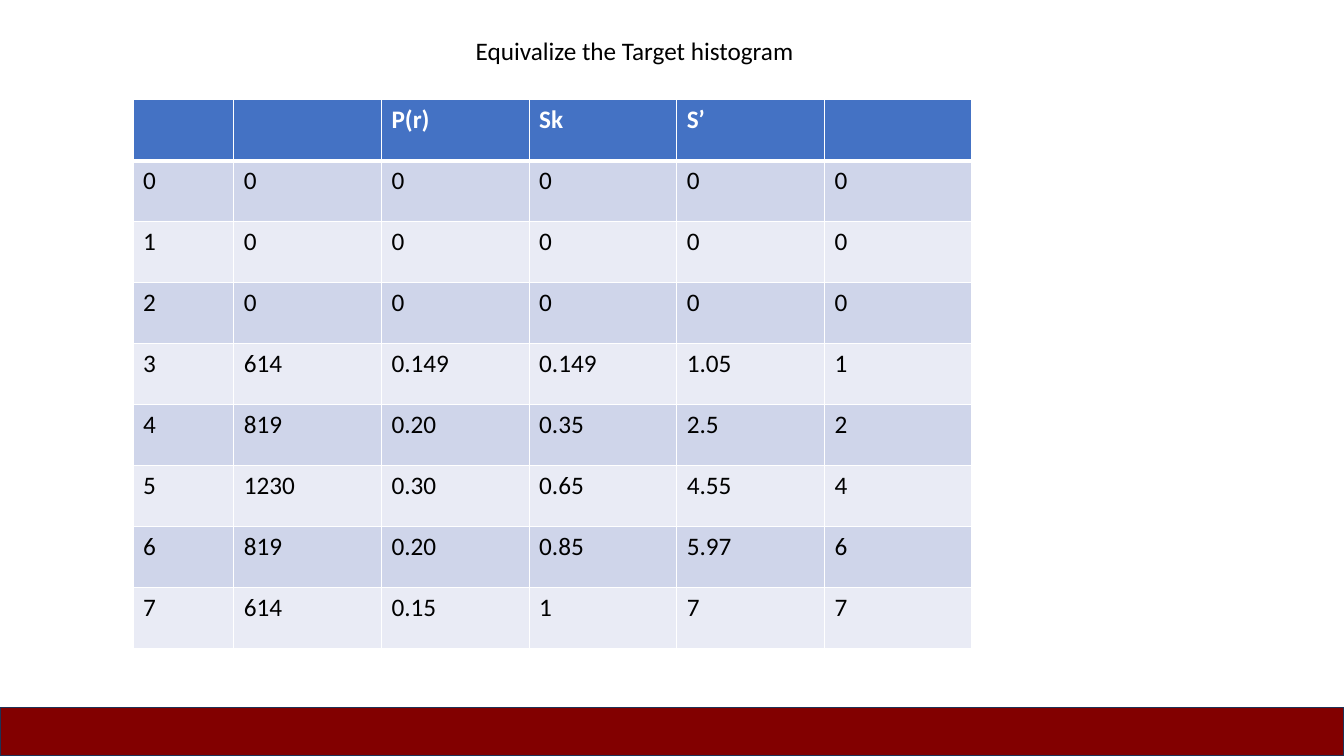
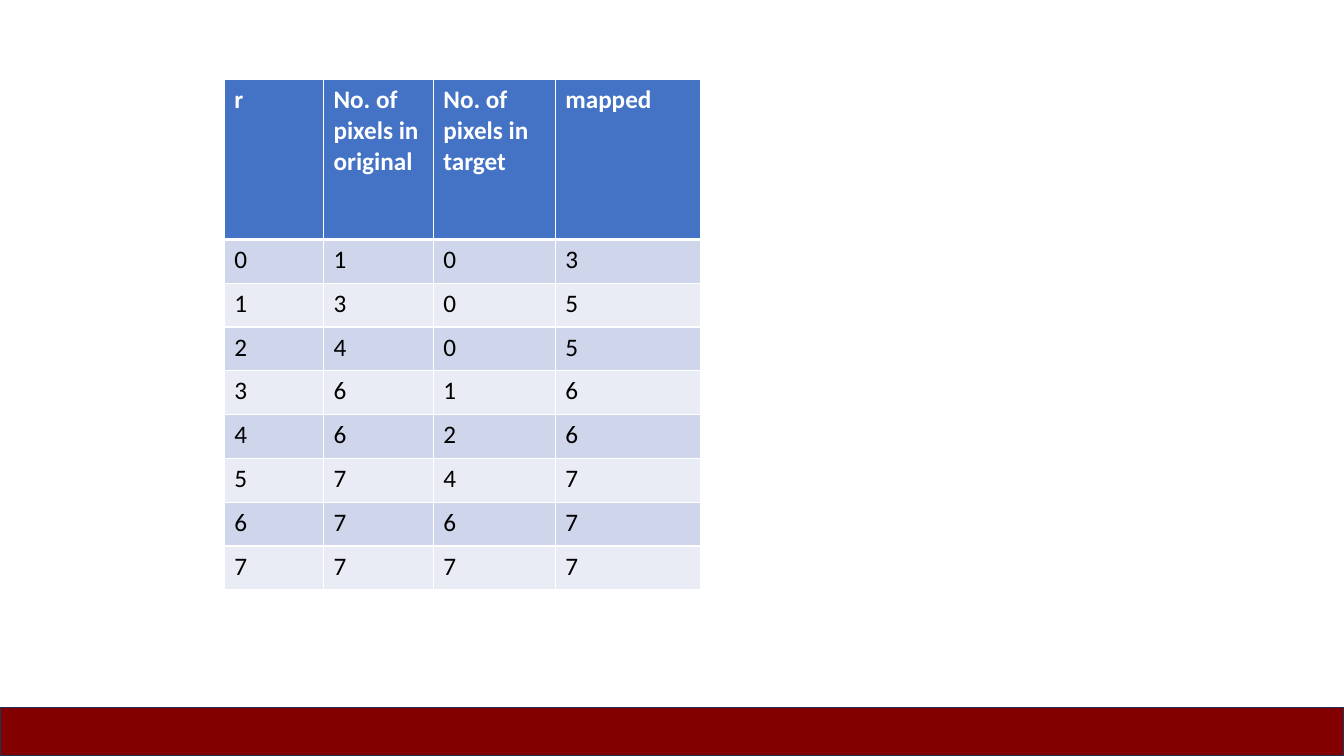
from lxml import etree
from pptx import Presentation
from pptx.dml.color import RGBColor
from pptx.enum.shapes import MSO_SHAPE
from pptx.enum.text import MSO_ANCHOR, MSO_AUTO_SIZE, PP_ALIGN
from pptx.oxml.ns import qn
from pptx.util import Pt

PX = 4572
WIDE, HIGH = 2667, 1500
RECT = MSO_SHAPE.RECTANGLE
TOP = MSO_ANCHOR.TOP
LEFT = PP_ALIGN.LEFT
FIXED = MSO_AUTO_SIZE.NONE
FONT = "Calibri"
COLORS = {
    "head": "4472C4",
    "odd": "CFD5EA",
    "even": "E9EBF5",
    "white": "FFFFFF",
    "black": "000000",
    "band": "820000",
    "edge": "1E3256",
}


def style(para, color, bold=False):
    para.alignment = LEFT
    for run in para.runs:
        run.font.name = FONT
        run.font.size = Pt(18)
        run.font.bold = bold
        run.font.color.rgb = RGBColor.from_string(COLORS[color])


def border(cell, sides):
    props = cell._tc.get_or_add_tcPr()
    for side, width in sides.items():
        line = etree.SubElement(props, qn("a:ln" + side), w=str(Pt(width)))
        fill = etree.SubElement(line, qn("a:solidFill"))
        etree.SubElement(fill, qn("a:srgbClr"), val=COLORS["white"])


pages = [
    {
        "title": "Equivalize the Target histogram",
        "at": (264, 198),
        "cols": [200] + [293] * 5,
        "rows": [121] * 9,
        "cells": [
            ["", "", "P(r)", "Sk", "S’", ""],
            ["0", "0", "0", "0", "0", "0"],
            ["1", "0", "0", "0", "0", "0"],
            ["2", "0", "0", "0", "0", "0"],
            ["3", "614", "0.149", "0.149", "1.05", "1"],
            ["4", "819", "0.20", "0.35", "2.5", "2"],
            ["5", "1230", "0.30", "0.65", "4.55", "4"],
            ["6", "819", "0.20", "0.85", "5.97", "6"],
            ["7", "614", "0.15", "1", "7", "7"],
        ],
    },
    {
        "title": None,
        "at": (445, 158),
        "cols": [197, 218, 242, 288],
        "rows": [317] + [87] * 8,
        "cells": [
            ["r", "No. of pixels in original", "No. of pixels in target", "mapped"],
            ["0", "1", "0", "3"],
            ["1", "3", "0", "5"],
            ["2", "4", "0", "5"],
            ["3", "6", "1", "6"],
            ["4", "6", "2", "6"],
            ["5", "7", "4", "7"],
            ["6", "7", "6", "7"],
            ["7", "7", "7", "7"],
        ],
    },
]

prs = Presentation()
prs.slide_width, prs.slide_height = WIDE * PX, HIGH * PX
titled, blank = prs.slide_layouts[5], prs.slide_layouts[6]

for page in pages:
    slide = prs.slides.add_slide(titled if page["title"] else blank)

    if page["title"]:
        title = slide.shapes.title
        title.left, title.top = 924 * PX, 60 * PX
        title.width, title.height = 746 * PX, 80 * PX
        frame = title.text_frame
        frame.text = page["title"]
        frame.auto_size = FIXED
        frame.vertical_anchor = TOP
        style(frame.paragraphs[0], "black")

    cols, rows = page["cols"], page["rows"]
    left, top = page["at"]
    table = slide.shapes.add_table(
        len(rows), len(cols), left * PX, top * PX, sum(cols) * PX, sum(rows) * PX
    ).table
    for col, width in zip(table.columns, cols):
        col.width = width * PX
    for row, height in zip(table.rows, rows):
        row.height = height * PX
    for r, texts in enumerate(page["cells"]):
        head = r == 0
        tint = "head" if head else "odd" if r % 2 else "even"
        sides = {"L": 1, "R": 1, "T": 3 if r == 1 else 1, "B": 3 if head else 1}
        for c, text in enumerate(texts):
            cell = table.cell(r, c)
            border(cell, sides)
            cell.fill.solid()
            cell.fill.fore_color.rgb = RGBColor.from_string(COLORS[tint])
            cell.text_frame.text = text
            style(cell.text_frame.paragraphs[0], "white" if head else "black", head)

    band = slide.shapes.add_shape(RECT, 0, 1404 * PX, WIDE * PX, 96 * PX)
    band.shadow.inherit = False
    band.fill.solid()
    band.fill.fore_color.rgb = RGBColor.from_string(COLORS["band"])
    band.line.color.rgb = RGBColor.from_string(COLORS["edge"])
    band.line.width = Pt(1)

prs.save("out.pptx")
